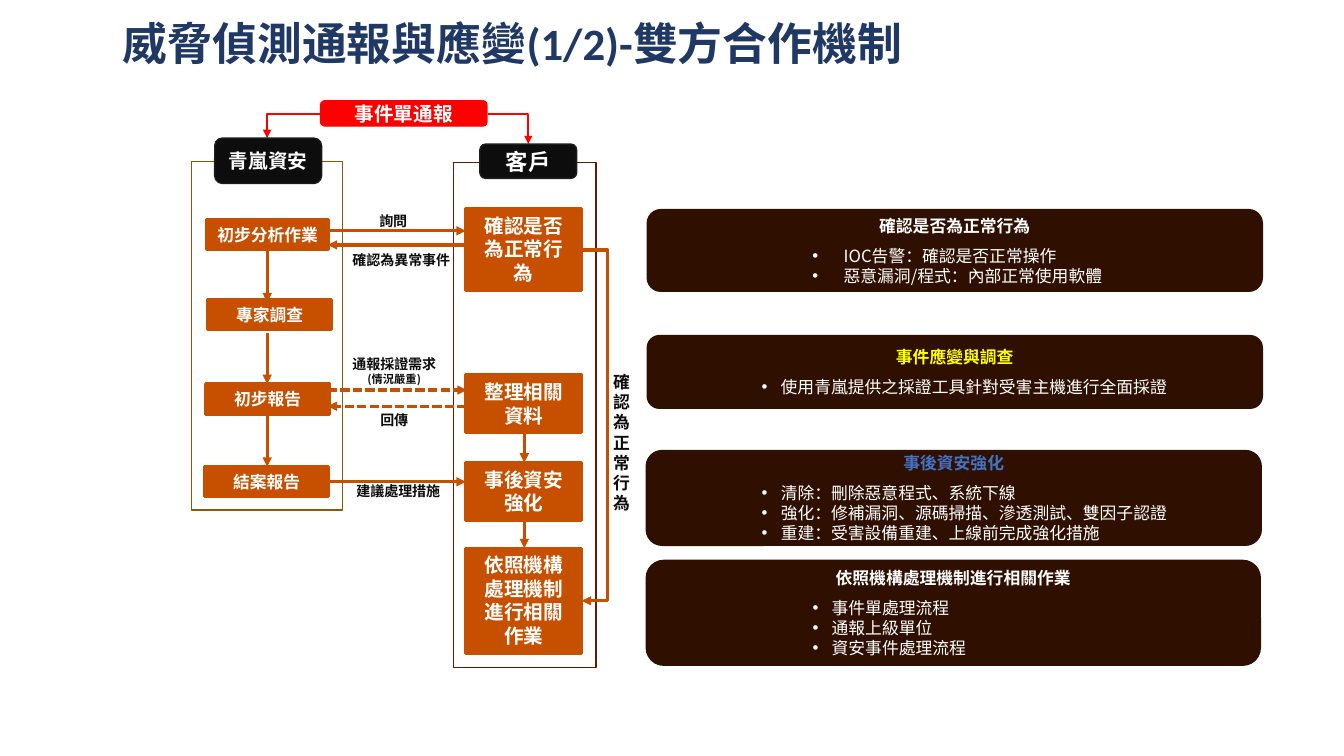
from dataclasses import dataclass

from lxml.etree import SubElement
from pptx import Presentation
from pptx.dml.color import RGBColor
from pptx.enum.dml import MSO_LINE
from pptx.enum.shapes import MSO_CONNECTOR, MSO_SHAPE
from pptx.enum.text import MSO_ANCHOR, PP_ALIGN
from pptx.oxml.ns import qn
from pptx.util import Pt

PX = 9144  # 100 px to the inch


@dataclass(frozen=True)
class Theme:
    cjk: str = "Noto Sans CJK SC"
    latin: str = "Calibri"
    navy: str = "203864"
    orange: str = "C75000"
    brown: str = "2F1000"
    ink: str = "0D0D0D"
    edge: str = "1A1D1A"
    red: str = "FF0000"
    white: str = "FFFFFF"
    yellow: str = "FFFF00"
    blue: str = "4472C4"
    ochre: str = "945600"
    maroon: str = "621B00"
    title: int = 32
    large: int = 16
    medium: int = 14
    body: int = 12
    label: int = 10
    small: int = 8
    thick: float = 2.25
    middle: float = 1.5
    thin: float = 1


class FlowSlide:
    def __init__(self, deck, theme):
        self.theme = theme
        self.slide = deck.slides.add_slide(deck.slide_layouts[6])

    def fill_text(self, frame, texts, size, color, font=None, bold=True,
                  align=PP_ALIGN.CENTER):
        """Put one paragraph per text; a (text, size) pair sets its own size."""
        frame.word_wrap = True
        for index, text in enumerate(texts):
            text, points = text if isinstance(text, tuple) else (text, size)
            para = frame.paragraphs[0] if index == 0 else frame.add_paragraph()
            para.alignment = align
            self.span(para, text, points, color, font, bold)
        return frame

    def span(self, para, text, size, color, font=None, bold=True):
        span = para.add_run()
        span.text = text
        formats = {"name": font or self.theme.cjk, "size": Pt(size), "bold": bold}
        for name, value in formats.items():
            setattr(span.font, name, value)
        span.font.color.rgb = RGBColor.from_string(color)
        east = SubElement(span.font._element, qn("a:ea"))
        east.set("typeface", self.theme.cjk)

    def text(self, area, texts, size, color, **formats):
        box = self.slide.shapes.add_textbox(*(value * PX for value in area))
        return self.fill_text(box.text_frame, texts, size, color, **formats)

    def box(self, area, fill, line, width, kind=MSO_SHAPE.RECTANGLE,
            anchor=MSO_ANCHOR.TOP):
        box = self.slide.shapes.add_shape(kind, *(value * PX for value in area))
        box.shadow.inherit = False
        if fill:
            box.fill.solid()
            box.fill.fore_color.rgb = RGBColor.from_string(fill)
        else:
            box.fill.background()
        box.line.color.rgb = RGBColor.from_string(line)
        box.line.width = Pt(width)
        box.text_frame.vertical_anchor = anchor
        return box.text_frame

    def step(self, area, text, size):
        look = self.theme
        frame = self.box(area, look.orange, look.orange, look.thick)
        self.fill_text(frame, [text], size, look.white)

    def badge(self, area, text, size, fill, line):
        frame = self.box(area, fill, line, self.theme.thin,
                         MSO_SHAPE.ROUNDED_RECTANGLE, MSO_ANCHOR.MIDDLE)
        self.fill_text(frame, [text], size, self.theme.white)

    def panel(self, area, heading, color, margin, hang, items):
        look = self.theme
        frame = self.box(area, look.brown, look.brown, look.thin,
                         MSO_SHAPE.ROUNDED_RECTANGLE, MSO_ANCHOR.MIDDLE)
        self.fill_text(frame, [heading], look.body, color)
        frame.paragraphs[0].space_after = Pt(7)
        for item in items:
            para = frame.add_paragraph()
            para.alignment = PP_ALIGN.LEFT
            self.span(para, item, look.body, look.white, bold=False)
            props = para._p.get_or_add_pPr()
            props.set("marL", str(margin * PX))
            props.set("indent", str(-hang * PX))
            SubElement(props, qn("a:buFont")).set("typeface", "Arial")
            SubElement(props, qn("a:buChar")).set("char", "•")

    def arrow(self, start, end, color=None, width=None, dashed=False,
              bend=None, adjust=None):
        kind = MSO_CONNECTOR.ELBOW if bend else MSO_CONNECTOR.STRAIGHT
        arrow = self.slide.shapes.add_connector(
            kind, *(value * PX for value in (*start, *end)))
        arrow.line.color.rgb = RGBColor.from_string(color or self.theme.orange)
        arrow.line.width = Pt(width or self.theme.thick)
        if dashed:
            arrow.line.dash_style = MSO_LINE.SQUARE_DOT
        props = arrow._element.spPr
        SubElement(props.find(qn("a:ln")), qn("a:tailEnd")).set("type", "triangle")
        SubElement(props, qn("a:effectLst"))
        if bend:
            shape = props.find(qn("a:prstGeom"))
            shape.set("prst", bend)
            if adjust is not None:
                guide = SubElement(shape.find(qn("a:avLst")), qn("a:gd"))
                guide.set("name", "adj1")
                guide.set("fmla", f"val {adjust}")


def main():
    deck = Presentation()
    deck.slide_width, deck.slide_height = 1333 * PX, 750 * PX
    look = Theme()
    page = FlowSlide(deck, look)

    # Title
    title = page.text((112, 17, 1200, 125), ["威脅偵測通報與應變(1/2)-雙方合作機制"],
                      look.title, look.navy, font=look.latin, align=PP_ALIGN.LEFT)
    title.paragraphs[0].line_spacing = 0.9

    # Lanes of the two parties
    page.box((190, 160, 150, 346), None, look.ochre, look.thin)
    page.box((450, 161, 141, 501), look.white, look.maroon, look.thin)

    # Steps of the security provider
    for left, top, width, text in [
        (205, 218, 121, "初步分析作業"),
        (206, 297, 123, "專家調查"),
        (204, 381, 123, "初步報告"),
        (203, 463, 123, "結案報告"),
    ]:
        page.step((left, top, width, 30), text, look.body)

    # Steps of the customer
    for top, height, text in [
        (207, 81, "確認是否為正常行為"),
        (372, 57, "整理相關資料"),
        (459, 57, "事後資安強化"),
        (544, 104, "依照機構處理機制進行相關作業"),
    ]:
        page.step((462, top, 115, height), text, look.medium)

    # Arrows between the lanes and down each lane
    for start, end, y, dashed in [
        (325, 462, 229, False), (462, 325, 243, False),
        (325, 463, 387, True), (463, 325, 403, True),
        (325, 462, 478, False),
    ]:
        page.arrow((start, y), (end, y), dashed=dashed)
    for x, top, bottom in [
        (265, 249, 300), (265, 330, 381), (265, 412, 463),
        (520, 429, 459), (520, 516, 544),
    ]:
        page.arrow((x, top), (x, bottom))
    page.arrow((578, 248), (577, 596), bend="bentConnector3", adjust=-2500000)

    # Arrow labels
    for area, texts in [
        ((297, 245, 202, 27), ["確認為異常事件"]),
        ((314, 206, 152, 27), ["詢問"]),
        ((290, 348, 202, 40), ["通報採證需求", ("(情況嚴重)", look.small)]),
        ((290, 403, 202, 27), ["回傳"]),
        ((285, 474, 220, 27), ["建議處理措施"]),
    ]:
        page.text(area, texts, look.label, look.ink)
    page.text((597, 364, 39, 151), ["確認為正常行為"], look.body, look.ink)

    # Incident notice and lane heads
    for start, end in [((318, 113), (265, 137)), ((484, 113), (524, 143))]:
        page.arrow(start, end, look.red, look.middle, bend="bentConnector2")
    page.badge((213, 137, 106, 45), "青嵐資安", look.medium, look.ink, look.edge)
    page.badge((476, 143, 96, 34), "客戶", look.large, look.ink, look.edge)
    page.badge((318, 100, 165, 25), "事件單通報", look.medium, look.red, look.red)

    # Explanation panels
    for area, heading, color, margin, hang, items in [
        ((642, 208, 610, 81), "確認是否為正常行為", look.white, 181, 31,
         ["IOC告警：確認是否正常操作", "惡意漏洞/程式：內部正常使用軟體"]),
        ((642, 333, 610, 72), "事件應變與調查", look.yellow, 119, 19,
         ["使用青嵐提供之採證工具針對受害主機進行全面採證"]),
        ((641, 447, 610, 94), "事後資安強化", look.blue, 119, 19,
         ["清除：刪除惡意程式、系統下線",
          "強化：修補漏洞、源碼掃描、滲透測試、雙因子認證",
          "重建：受害設備重建、上線前完成強化措施"]),
        ((641, 556, 609, 104), "依照機構處理機制進行相關作業", look.white, 169, 19,
         ["事件單處理流程", "通報上級單位", "資安事件處理流程"]),
    ]:
        page.panel(area, heading, color, margin, hang, items)

    deck.save("out.pptx")


if __name__ == "__main__":
    main()
